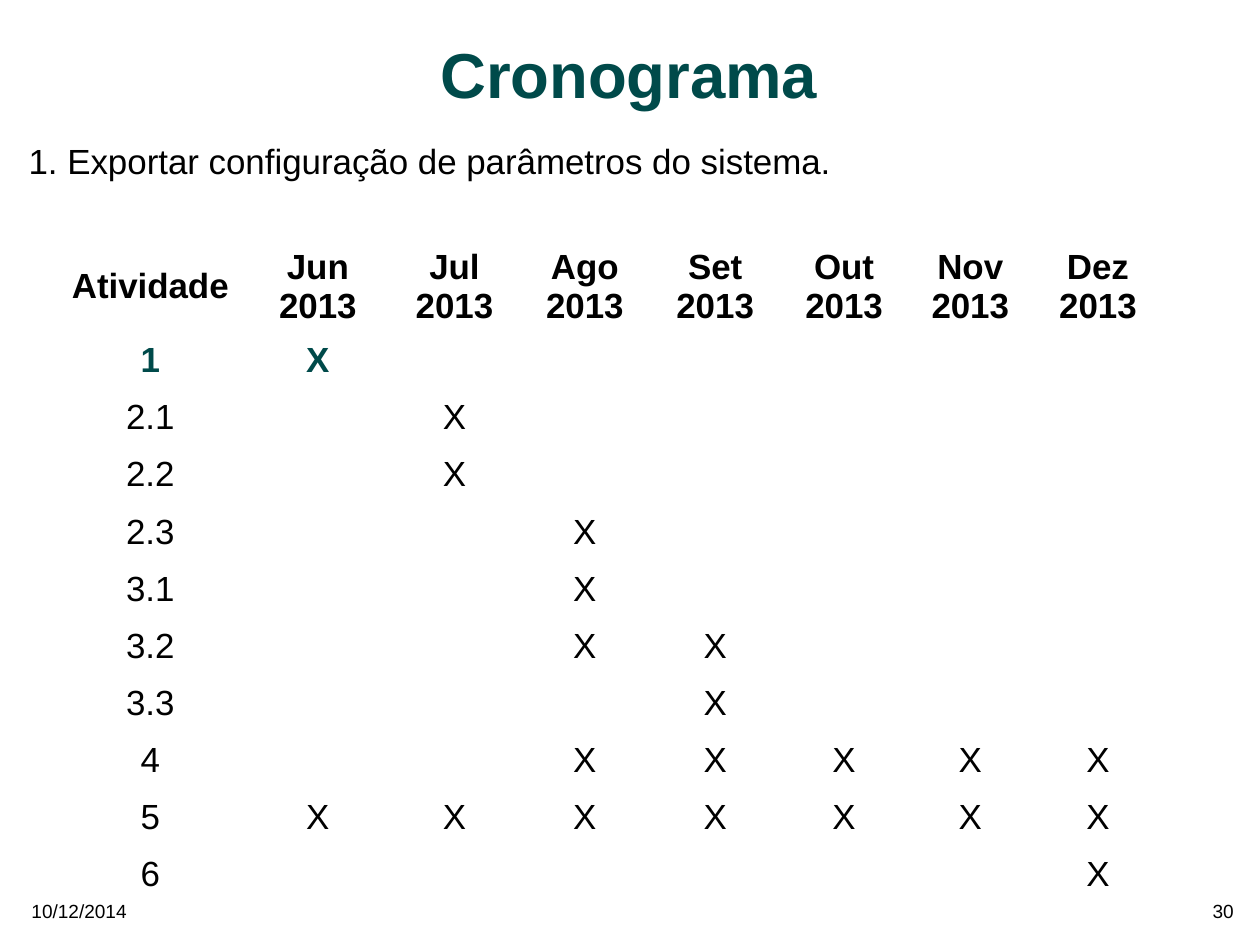
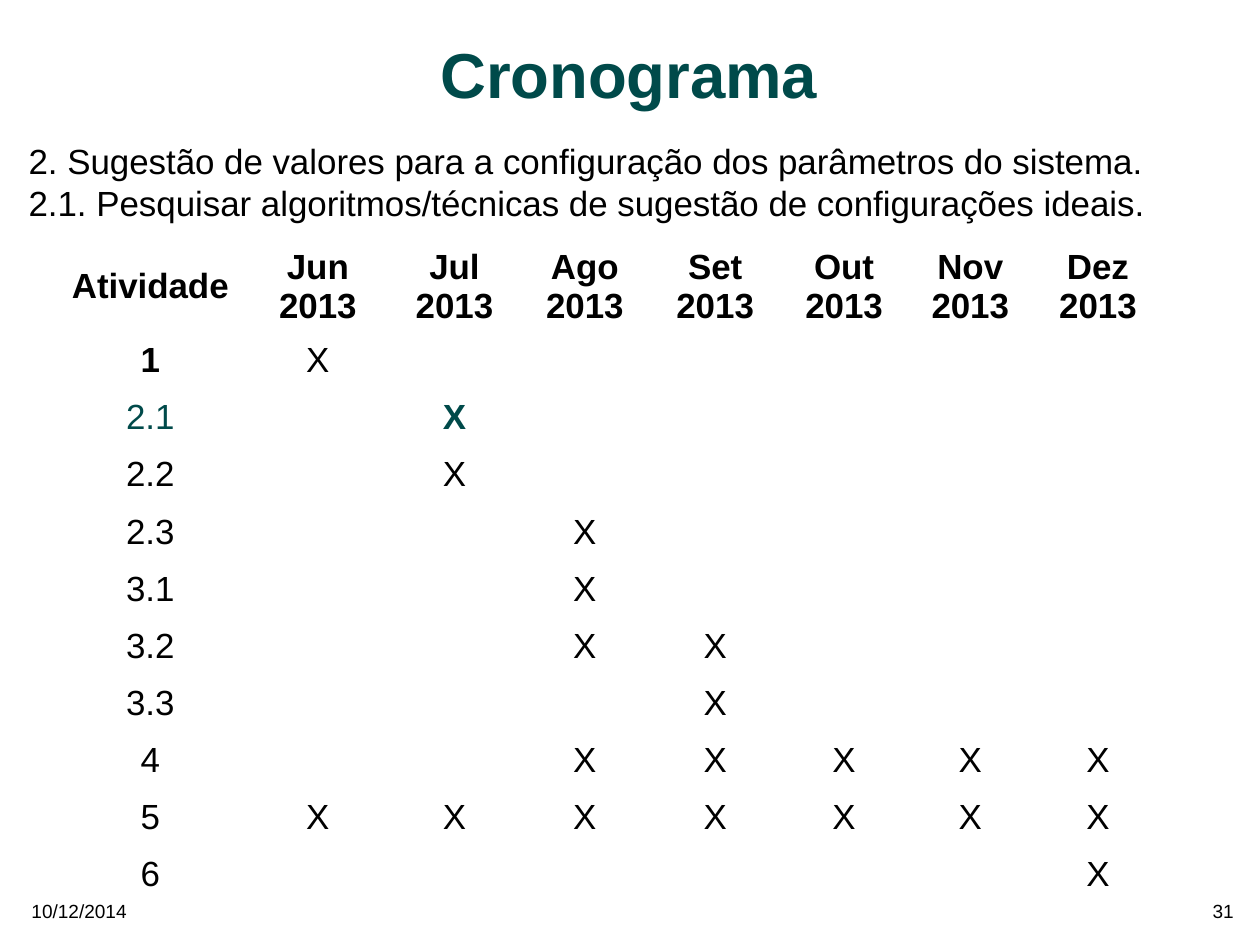
import pptx
import pptx.util
import pptx.dml.color
import pptx.enum.text
import pptx.oxml
import pptx.oxml.ns

TEAL, BLACK, WHITE = "004A4A", "000000", "FFFFFF"
ALIGN = pptx.enum.text.PP_ALIGN
ANCHOR = pptx.enum.text.MSO_ANCHOR

prs = pptx.Presentation()
prs.slide_width = pptx.util.Cm(28)
prs.slide_height = pptx.util.Cm(21)
X = prs.slide_width / 100
Y = prs.slide_height / 100


def rgb(color):
    return pptx.dml.color.RGBColor.from_string(color)


def write(tf, lines, size=22, color=BLACK, bold=False, align=ALIGN.LEFT, spacing=1.0):
    for i, line in enumerate(lines):
        p = tf.paragraphs[0] if i == 0 else tf.add_paragraph()
        pPr = p._p.get_or_add_pPr()
        pPr.set("marL", "0")
        pPr.set("indent", "0")
        pPr.append(pptx.oxml.parse_xml(f'<a:buNone {pptx.oxml.ns.nsdecls("a")}/>'))
        style = {"alignment": align, "line_spacing": spacing,
                 "space_before": pptx.util.Pt(0), "space_after": pptx.util.Pt(0)}
        for name, value in style.items():
            setattr(p, name, value)
        r = p.add_run()
        r.text = line
        for name, value in {"name": "Arial", "size": pptx.util.Pt(size), "bold": bold}.items():
            setattr(r.font, name, value)
        r.font.color.rgb = rgb(color)


TITLE_BOX = (11.52, 2.18, 76.77, 12.58)
BODY_BOX = (2.27, 14.75, 95.28, 8.95)
DATE_BOX = (2.5, 95.16, 26.5, 2.54)
NUMBER_BOX = (71.42, 95.16, 26.5, 2.54)
FRAME = {"margin_left": 0, "margin_top": 0, "margin_right": 0, "margin_bottom": 0,
         "word_wrap": True, "auto_size": pptx.enum.text.MSO_AUTO_SIZE.NONE}
CELL = {"margin_left": pptx.util.Inches(0.04), "margin_right": pptx.util.Inches(0.04),
        "margin_top": pptx.util.Inches(0.05), "margin_bottom": pptx.util.Inches(0.05)}

MONTHS = ["Jun", "Jul", "Ago", "Set", "Out", "Nov", "Dez"]
SCHEDULE = {
    "1": ["Jun"],
    "2.1": ["Jul"],
    "2.2": ["Jul"],
    "2.3": ["Ago"],
    "3.1": ["Ago"],
    "3.2": ["Ago", "Set"],
    "3.3": ["Set"],
    "4": MONTHS[2:],
    "5": MONTHS,
    "6": ["Dez"],
}
COLS = [15.34, 11.25, 10.44, 10.25, 10.44, 10.02, 10.02, 10.25]
ROWS = [10.16] + [6.15 if key == "2.2" else 6.03 for key in SCHEDULE]
SLIDES = [
    ("30", "1", ["1. Exportar configuração de parâmetros do sistema."]),
    ("31", "2.1", ["2. Sugestão de valores para a configuração dos parâmetros do sistema.",
                   "2.1. Pesquisar algoritmos/técnicas de sugestão de configurações ideais."]),
]

for number, current, topics in SLIDES:
    s = prs.slides.add_slide(prs.slide_layouts[1])
    s.background.fill.solid()
    s.background.fill.fore_color.rgb = rgb(WHITE)

    texts = [
        (s.shapes.title, TITLE_BOX, ANCHOR.MIDDLE, ["Cronograma"],
         {"size": 40, "color": TEAL, "bold": True, "align": ALIGN.CENTER, "spacing": 0.8}),
        (s.placeholders[1], BODY_BOX, ANCHOR.TOP, topics, {}),
        (s.shapes.add_textbox(0, 0, 0, 0), DATE_BOX, ANCHOR.TOP, ["10/12/2014"], {"size": 12}),
        (s.shapes.add_textbox(0, 0, 0, 0), NUMBER_BOX, ANCHOR.TOP, [number],
         {"size": 12, "align": ALIGN.RIGHT}),
    ]
    for sp, box, anchor, lines, style in texts:
        for name, value, unit in zip(("left", "top", "width", "height"), box, (X, Y, X, Y)):
            setattr(sp, name, int(value * unit))
        tf = sp.text_frame
        for name, value in FRAME.items():
            setattr(tf, name, value)
        tf.vertical_anchor = anchor
        write(tf, lines, **style)

    table = s.shapes.add_table(len(ROWS), len(COLS), int(4.26 * X), int(25.27 * Y),
                               int(sum(COLS) * X), int(sum(ROWS) * Y)).table
    table.horz_banding = False
    table.first_row = False
    for col, width in zip(table.columns, COLS):
        col.width = int(width * X)
    for row, height in zip(table.rows, ROWS):
        row.height = int(height * Y)

    for i, cell in enumerate(table.iter_cells()):
        for name, value in CELL.items():
            setattr(cell, name, value)
        r, c = divmod(i, len(COLS))
        outer = {"lnL": c == 0, "lnR": c == len(COLS) - 1,
                 "lnT": r == 0, "lnB": r == len(ROWS) - 1}
        tcPr = cell._tc.get_or_add_tcPr()
        for side, bare in outer.items():
            line = "<a:noFill/>" if bare else (
                f'<a:solidFill><a:srgbClr val="{WHITE}"/></a:solidFill>')
            tcPr.append(pptx.oxml.parse_xml(
                f'<a:{side} {pptx.oxml.ns.nsdecls("a")} w="{pptx.util.Pt(1.19)}">'
                f'{line}</a:{side}>'))
        cell.fill.background()

    headings = [["Atividade"]] + [[month, "2013"] for month in MONTHS]
    for c, lines in enumerate(headings):
        cell = table.cell(0, c)
        cell.vertical_anchor = ANCHOR.MIDDLE
        write(cell.text_frame, lines, bold=True, align=ALIGN.CENTER)

    for r, (key, months) in enumerate(SCHEDULE.items(), 1):
        color = TEAL if key == current else BLACK
        write(table.cell(r, 0).text_frame, [key], color=color, bold=key == "1",
              align=ALIGN.CENTER)
        for month in months:
            write(table.cell(r, 1 + MONTHS.index(month)).text_frame, ["X"], color=color,
                  bold=key == current, align=ALIGN.CENTER)

prs.save("out.pptx")
